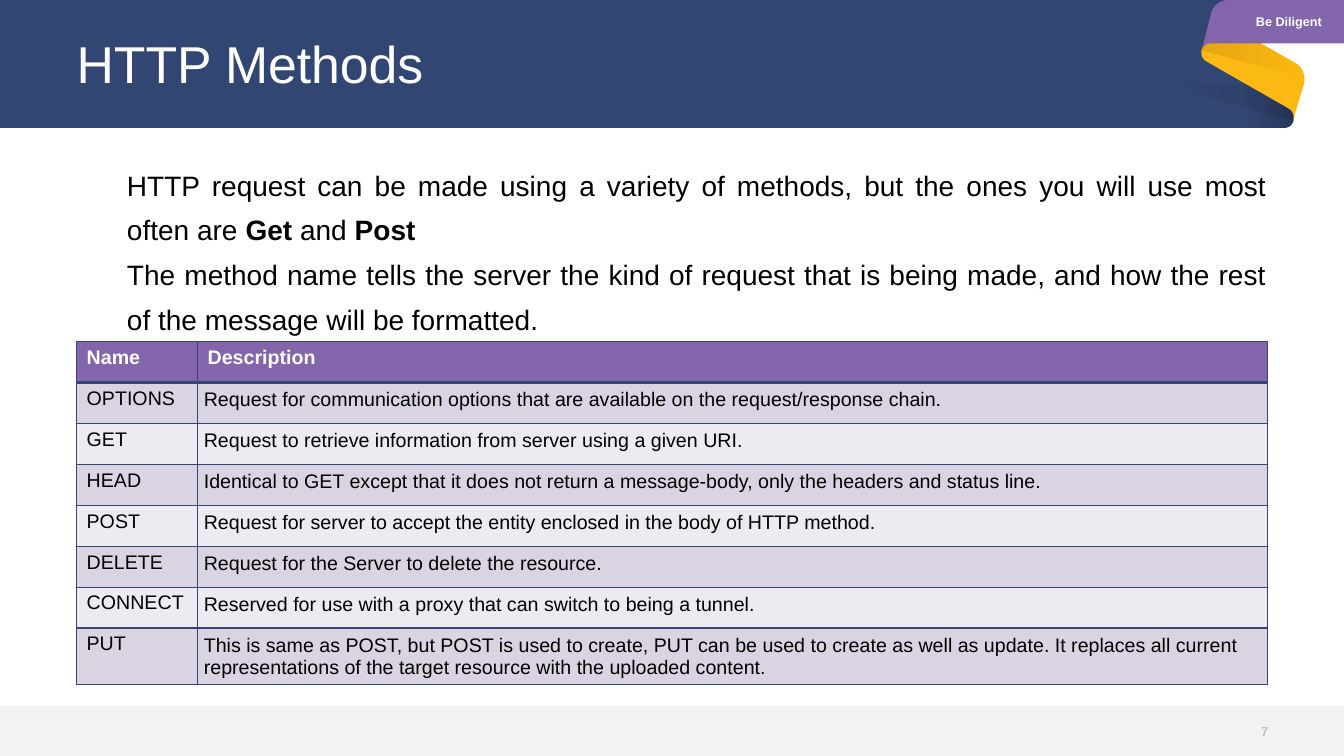
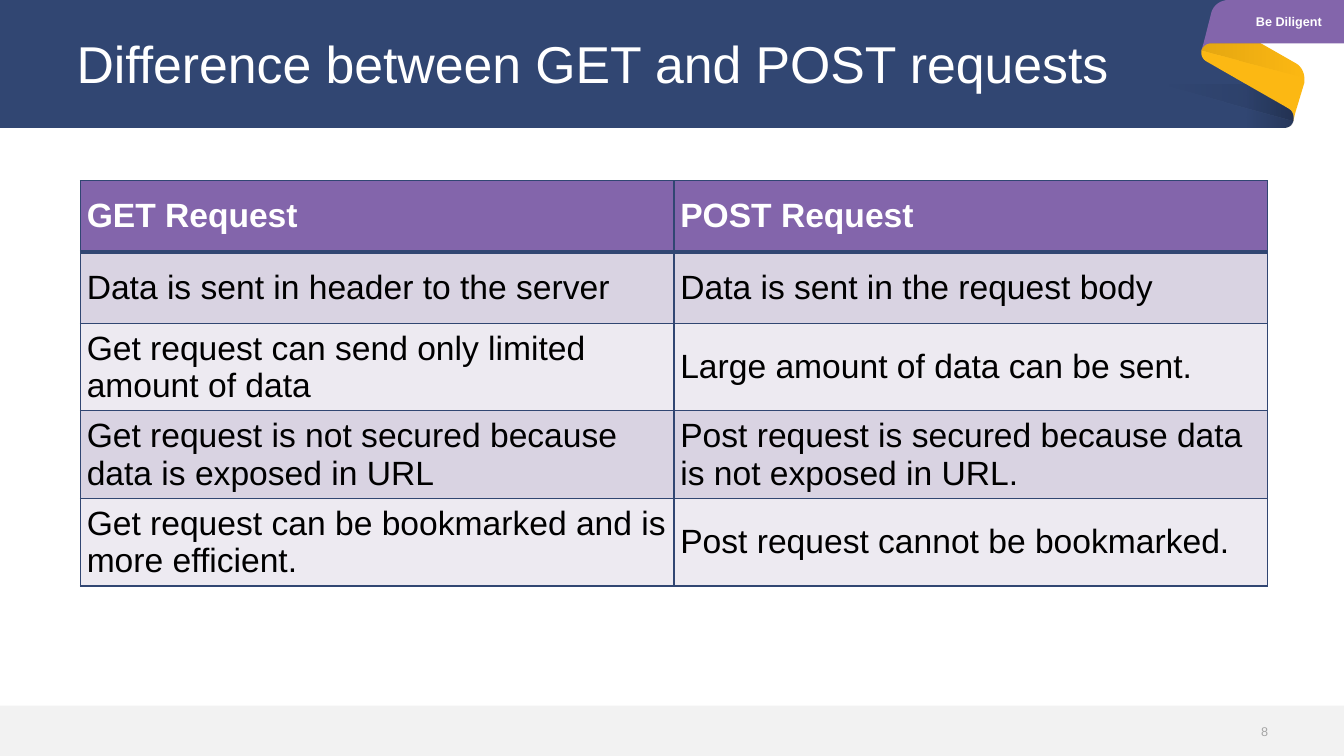
from dataclasses import dataclass
from pptx import Presentation
from pptx.dml.color import RGBColor
from pptx.enum import shapes, text
from pptx.oxml import ns, xmlchemy
from pptx.util import Pt


@dataclass(frozen=True)
class Theme:
    font: str = "Arial"
    navy: str = "314672"
    gold: str = "FCB813"
    purple: str = "8365AB"
    white: str = "FFFFFF"
    black: str = "000000"
    footer: str = "F2F2F2"
    number: str = "A5A5A5"
    bands: tuple = ("D9D3E2", "EDEAF1")
    title_size: int = 37
    body_size: int = 20
    small_size: int = 9
    cell_inset: float = 4.5
    thin: int = 1
    thick: int = 3


T = Theme()
WIDTH, HEIGHT = 960, 540
MOTTO = "Be Diligent"

INTRO = [
    [("HTTP request can be made using a variety of methods, but the ones you "
      "will use most often are ", False), ("Get", True), (" and ", False),
     ("Post", True)],
    [("The method name tells the server the kind of request that is being "
      "made, and how the rest of the message will be formatted.", False)],
]

METHODS = [
    ("Name", "Description"),
    ("OPTIONS", "Request for communication options that are available on the "
                "request/response chain."),
    ("GET", "Request to retrieve information from server using a given URI."),
    ("HEAD", "Identical to GET except that it does not return a message-body, "
             "only the headers and status line."),
    ("POST", "Request for server to accept the entity enclosed in the body of "
             "HTTP method."),
    ("DELETE", "Request for the Server to delete the resource."),
    ("CONNECT", "Reserved for use with a proxy that can switch to being a "
                "tunnel."),
    ("PUT", "This is same as POST, but POST is used to create, PUT can be used "
            "to create as well as update. It replaces all current "
            "representations of the target resource with the uploaded "
            "content."),
]

COMPARISON = [
    ("GET Request", "POST Request"),
    ("Data is sent in header to the server",
     "Data is sent in the request body"),
    ("Get request can send only limited amount of data",
     "Large amount of data can be sent."),
    ("Get request is not secured because data is exposed in URL",
     "Post request is secured because data is not exposed in URL."),
    ("Get request can be bookmarked and is more efficient.",
     "Post request cannot be bookmarked."),
]

SLIDES = [
    dict(title="HTTP Methods", number=7, intro=INTRO,
         table=dict(rows=METHODS, left=54.7, top=244, cols=(86.4, 764),
                    row_height=29.25, size=14, anchor="TOP", roomy=True)),
    dict(title="Difference between GET and POST requests", number=8, intro=None,
         table=dict(rows=COMPARISON, left=57.5, top=129, cols=(424, 424),
                    row_height=51, size=24, anchor="MIDDLE", roomy=False)),
]

FOLD_SIDE = (923.8, 79.9, 924.5, 82.8, 923.8, 86.4)
FOLD_SIDE_BACK = (924.5, 82.8, 923.8, 79.9, 920.9, 77.8)
GOLD_CORNER = (931.7, 51.8, 929.5, 47.5, 925.9, 45.4)
RIBBON = [
    (T.navy, [(0, 0), (895, 0), (895, 51.8), (920.9, 77.8), FOLD_SIDE,
              (923, 89.3, 920.9, 91.4, 917.3, 91.4), (0, 91.4)]),
    (T.gold, [(861.8, 43.9), (920.9, 77.8), FOLD_SIDE, (925.2, 80.6),
              (931.7, 59), (931.7, 56.2), GOLD_CORNER, (895.7, 28.1),
              (865.4, 29.5), (861.8, 29.5, 859, 33.1, 858.2, 36),
              (857.5, 38.9, 859, 42.5, 861.8, 43.9)]),
    (T.purple, [(858.2, 36), (859, 33.1, 861.8, 31, 865.4, 31), (WIDTH, 31),
                (WIDTH, 0), (877.7, 0), (871.9, 0, 866.9, 3.6, 865.4, 8.6),
                (859.7, 31)]),
    ((20, 180), [(890.6, 60.5), (890.6, 91.4), (917.3, 91.4),
                 (920.9, 91.4, 923, 89.3, 923.8, 86.4), FOLD_SIDE_BACK]),
    ((10, 180), [(829.4, 60.5), (923.8, 86.4), FOLD_SIDE_BACK, (890.6, 60.5)]),
    ((10, 0), [(858.2, 36), (931.7, 55.4), GOLD_CORNER, (900, 31), (865.4, 31),
               (861.8, 31, 859, 33.1, 858.2, 36)]),
]


def rgb(color):
    return RGBColor.from_string(color)


def sub(parent, tag, **attrs):
    el = xmlchemy.OxmlElement(tag)
    for key, value in attrs.items():
        el.set(key, str(value))
    parent.append(el)
    return el


def flatten(outline, steps=8):
    points = [outline[0]]
    for part in outline[1:]:
        if len(part) == 2:
            points.append(part)
            continue
        ctrl = [points[-1], part[:2], part[2:4], part[4:]]
        for i in range(1, steps + 1):
            t = i / steps
            weights = ((1 - t) ** 3, 3 * t * (1 - t) ** 2,
                       3 * t * t * (1 - t), t ** 3)
            points.append(tuple(sum(w * c[axis] for w, c in zip(weights, ctrl))
                                for axis in (0, 1)))
    return [(Pt(x), Pt(y)) for x, y in points]


def paint(sp, fill):
    sp.shadow.inherit = False
    sp.line.fill.background()
    if isinstance(fill, str):
        sp.fill.solid()
        sp.fill.fore_color.rgb = rgb(fill)
        return
    opacity, angle = fill
    sp.fill.gradient()
    sp.fill.gradient_angle = angle
    for stop in sp.fill.gradient_stops:
        stop.color.rgb = rgb(T.black)
    colors = sp.element.iter(ns.qn("a:srgbClr"))
    for clr, alpha in zip(list(colors), (opacity, 0)):
        sub(clr, "a:alpha", val=alpha * 1000)


def write(p, runs, size, color, **fmt):
    for key, value in fmt.items():
        setattr(p, key, value)
    for words, bold in runs:
        r = p.add_run()
        r.text = words
        r.font.color.rgb = rgb(color)
        for key, value in dict(name=T.font, size=Pt(size), bold=bold).items():
            setattr(r.font, key, value)


def frame(sp, anchor, left=0):
    tf = sp.text_frame
    for key, value in dict(word_wrap=True, auto_size=text.MSO_AUTO_SIZE.NONE,
                           vertical_anchor=anchor, margin_left=Pt(left),
                           margin_top=0, margin_right=0,
                           margin_bottom=0).items():
        setattr(tf, key, value)
    return tf


def add_text(s, box, paragraphs, size, color, anchor, left=0, **fmt):
    tf = frame(s.shapes.add_textbox(*map(Pt, box)), anchor, left)
    for i, runs in enumerate(paragraphs):
        p = tf.add_paragraph() if i else tf.paragraphs[0]
        write(p, runs, size, color, **fmt)


def add_frame(s, title, number):
    for fill, outline in RIBBON:
        start, *rest = flatten(outline)
        builder = s.shapes.build_freeform(*start)
        builder.add_line_segments(rest, close=True)
        paint(builder.convert_to_shape(), fill)
    footer = s.shapes.add_shape(shapes.MSO_SHAPE.RECTANGLE, 0, Pt(504),
                                Pt(WIDTH), Pt(36))
    paint(footer, T.footer)
    middle = text.MSO_ANCHOR.MIDDLE
    add_text(s, (863.3, 0, 96.7, 31), [[(MOTTO, True)]], T.small_size, T.white,
             middle, left=18, alignment=text.PP_ALIGN.CENTER)
    add_text(s, (860.4, 513.4, 45.4, 18.7), [[(str(number), False)]],
             T.small_size, T.number, middle, alignment=text.PP_ALIGN.RIGHT)
    sp = s.shapes.title
    sp.left, sp.top, sp.width, sp.height = map(Pt, (54.7, 4.3, 850.3, 86.4))
    write(frame(sp, middle).paragraphs[0], [(title, False)], T.title_size,
          T.white, alignment=text.PP_ALIGN.LEFT, line_spacing=0.9)
    sp.element.getparent().append(sp.element)


def add_borders(cell, row):
    tc_pr = cell._tc.get_or_add_tcPr()
    top = T.thick if row == 1 else T.thin
    bottom = T.thick if row == 0 else T.thin
    for side, width in dict(L=T.thin, R=T.thin, T=top, B=bottom).items():
        ln = sub(tc_pr, f"a:ln{side}", w=Pt(width))
        sub(sub(ln, "a:solidFill"), "a:srgbClr", val=T.navy)


def add_grid(s, rows, left, top, cols, row_height, size, anchor, roomy):
    table = s.shapes.add_table(len(rows), len(cols), Pt(left), Pt(top),
                               Pt(sum(cols)), Pt(row_height * len(rows))).table
    table.horz_banding = False
    for col, width in zip(table.columns, cols):
        col.width = Pt(width)
    for i, values in enumerate(rows):
        table.rows[i].height = Pt(row_height)
        header = i == 0
        for j, value in enumerate(values):
            cell = table.cell(i, j)
            add_borders(cell, i)
            cell.fill.solid()
            cell.fill.fore_color.rgb = rgb(
                T.purple if header else T.bands[(i - 1) % 2])
            cell.vertical_anchor = getattr(text.MSO_ANCHOR, anchor)
            wide = roomy and (header or j == 0)
            across, down = (7.2, 3.6) if wide else (T.cell_inset,) * 2
            cell.margin_left = cell.margin_right = Pt(across)
            cell.margin_top = cell.margin_bottom = Pt(down)
            write(cell.text_frame.paragraphs[0], [(value, header)], size,
                  T.white if header else T.black)


def main():
    prs = Presentation()
    prs.slide_width, prs.slide_height = Pt(WIDTH), Pt(HEIGHT)
    for content in SLIDES:
        s = prs.slides.add_slide(prs.slide_layouts[5])
        add_frame(s, content["title"], content["number"])
        if content["intro"]:
            add_text(s, (54.7, 112.3, 850.3, 130), content["intro"],
                     T.body_size, T.black, text.MSO_ANCHOR.TOP, left=36,
                     alignment=text.PP_ALIGN.JUSTIFY, line_spacing=1.33)
        add_grid(s, **content["table"])
    prs.save("out.pptx")


if __name__ == "__main__":
    main()
